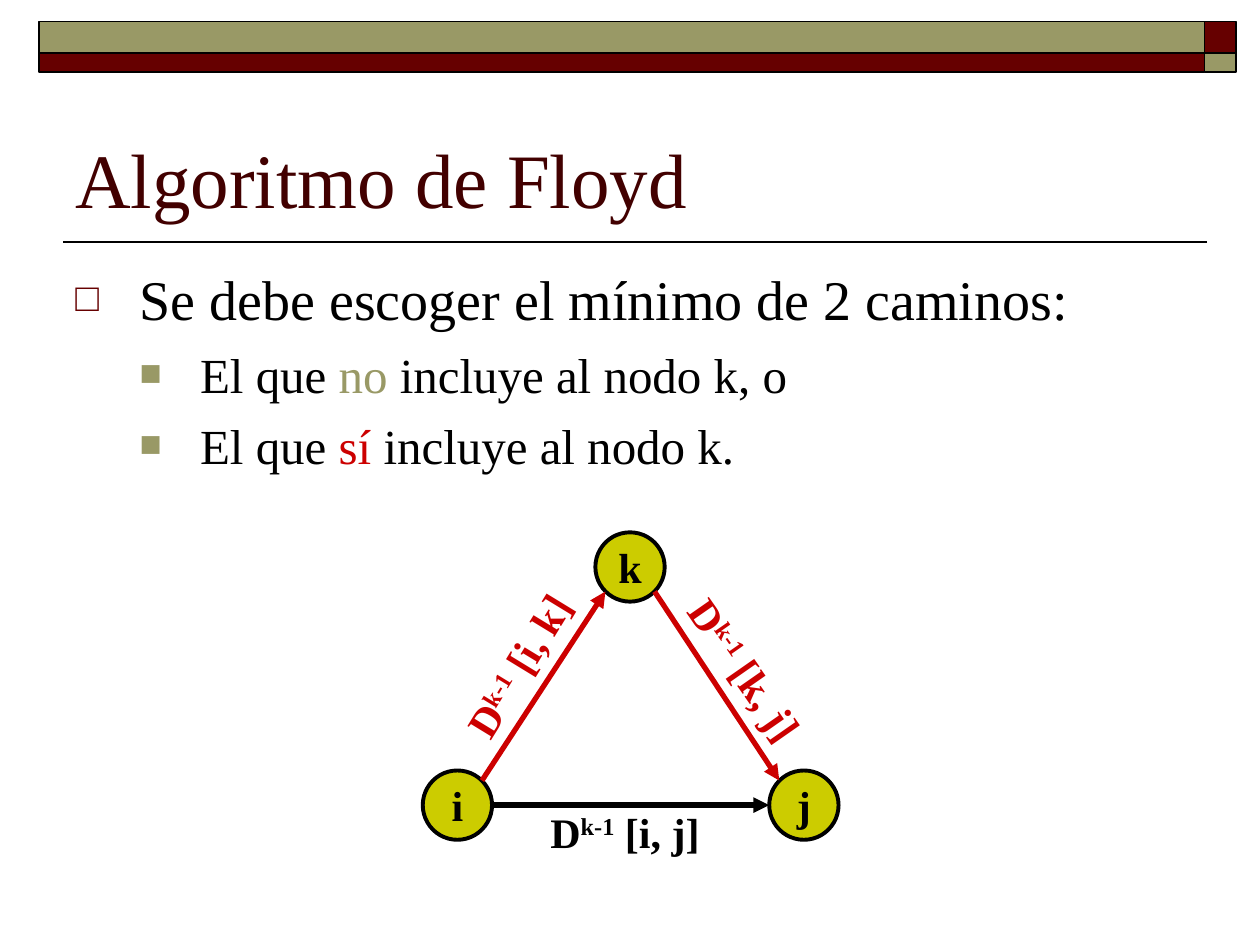
from lxml import etree
from pptx import Presentation
from pptx.dml.color import RGBColor
from pptx.enum.shapes import MSO_CONNECTOR, MSO_SHAPE
from pptx.enum.text import MSO_ANCHOR, PP_ALIGN
from pptx.oxml.ns import qn
from pptx.util import Inches, Pt

LINE = MSO_CONNECTOR.STRAIGHT
RECT, OVAL = MSO_SHAPE.RECTANGLE, MSO_SHAPE.OVAL
TOP, MID, LOW = MSO_ANCHOR.TOP, MSO_ANCHOR.MIDDLE, MSO_ANCHOR.BOTTOM
LEFT, MIDDLE = PP_ALIGN.LEFT, PP_ALIGN.CENTER
FONT = "Times New Roman"
BLACK, WINE, OLIVE, RED, LIME = "000000", "660000", "999966", "CC0000", "CCCC00"

TITLE = "Algoritmo de Floyd"
MAIN = dict(size=32, left=0.51, hang=0.51, mark="□", tint=WINE, scale=70)
SUB = dict(size=28, left=0.99, hang=0.48, mark="■", tint=OLIVE, scale=75, gap=7)
BODY = [
    ([("Se debe escoger el mínimo de 2 caminos:", BLACK)], MAIN),
    ([("El que ", BLACK), ("no", OLIVE), (" incluye al nodo k, o", BLACK)], SUB),
    ([("El que ", BLACK), ("sí", RED), (" incluye al nodo k.", BLACK)], SUB),
]
COLS = [(0.31, 9.25), (9.56, 0.25)]
ROWS = [(0.17, 0.25), (0.42, 0.15)]
BAND = [[OLIVE, WINE], [WINE, OLIVE]]
SIZE = 0.55
NODES = {"i": (3.63, 6.39), "j": (6.38, 6.39), "k": (5, 4.5)}
DIAG = 0.71
EDGES = [
    ("i", "j", (1, 0), (-1, 0), BLACK, (4.27, 6.35, 1.43, 0.5), 0),
    ("i", "k", (DIAG, -DIAG), (-DIAG, DIAG), RED, (3.37, 5.01, 1.5, 0.5), 301.4),
    ("k", "j", (DIAG, DIAG), (-DIAG, -DIAG), RED, (5.17, 5.08, 1.52, 0.5), 55.2),
]


def rgb(code):
    """Turn a hex string into a colour."""
    return RGBColor.from_string(code)


def bullet(para, left, hang, mark, tint, scale):
    """Give a paragraph a hanging bullet."""
    props = para._p.get_or_add_pPr()
    props.set("marL", str(Inches(left)))
    props.set("indent", str(-Inches(hang)))
    hue = etree.SubElement(props, qn("a:buClr"))
    etree.SubElement(hue, qn("a:srgbClr"), val=tint)
    etree.SubElement(props, qn("a:buSzPct"), val=str(scale * 1000))
    etree.SubElement(props, qn("a:buFont"), typeface=FONT)
    etree.SubElement(props, qn("a:buChar"), char=mark)


def write(para, text, size=24, color=BLACK, bold=False, raised=False):
    """Add one formatted run to a paragraph."""
    run = para.add_run()
    run.text = text
    font = run.font
    font.name, font.size, font.bold = FONT, Pt(size), bold
    font.color.rgb = rgb(color)
    if raised:
        run._r.get_or_add_rPr().set("baseline", "30000")


def box(slide, area, anchor=TOP, wrap=True):
    """Add a text box and return its shape."""
    shape = slide.shapes.add_textbox(*map(Inches, area))
    frame = shape.text_frame
    frame.word_wrap, frame.vertical_anchor = wrap, anchor
    return shape


def block(slide, kind, area, fill, width):
    """Add a filled, outlined preset shape."""
    shape = slide.shapes.add_shape(kind, *map(Inches, area))
    shape.shadow.inherit = False
    shape.fill.solid()
    shape.fill.fore_color.rgb = rgb(fill)
    shape.line.color.rgb = rgb(BLACK)
    shape.line.width = Pt(width)
    return shape


def stroke(slide, start, end, color, width, arrow=False):
    """Add a straight line, with an arrowhead if asked."""
    line = slide.shapes.add_connector(LINE, *map(Inches, (*start, *end)))
    line.line.color.rgb = rgb(color)
    line.line.width = Pt(width)
    if arrow:
        etree.SubElement(line.line._get_or_add_ln(), qn("a:tailEnd"), type="triangle")
    etree.SubElement(line._element.spPr, qn("a:effectLst"))


def frame(slide):
    """Draw the top band, the rule, the title and the list."""
    stroke(slide, (9.58, 1.92), (0.5, 1.92), BLACK, 1)
    for (top, high), fills in zip(ROWS, BAND):
        for (left, wide), fill in zip(COLS, fills):
            block(slide, RECT, (left, top, wide, high), fill, 1)
    title = box(slide, (0.5, 0.58, 9, 1.25), LOW)
    write(title.text_frame.paragraphs[0], TITLE, size=44, color="420000")
    text = box(slide, (0.5, 2, 9, 4.7)).text_frame
    text.margin_top = Inches(0.1)
    for n, (runs, form) in enumerate(BODY):
        para = text.add_paragraph() if n else text.paragraphs[0]
        para.level = 1 if form is SUB else 0
        if n:
            para.space_before = Pt(form["gap"])
        bullet(para, *(form[key] for key in ("left", "hang", "mark", "tint", "scale")))
        for part, color in runs:
            write(para, part, size=form["size"], color=color)


def graph(slide):
    """Draw the nodes, the arrows and their labels."""
    half = SIZE / 2
    for name, (x, y) in NODES.items():
        node = block(slide, OVAL, (x - half, y - half, SIZE, SIZE), LIME, 2.25)
        text = node.text_frame
        text.word_wrap, text.vertical_anchor = False, MID
        para = text.paragraphs[0]
        para.alignment = MIDDLE
        write(para, name, bold=True)
    for one, two, out, into, color, area, turn in EDGES:
        ends = [
            [mid + half * step for mid, step in zip(NODES[name], side)]
            for name, side in ((one, out), (two, into))
        ]
        stroke(slide, *ends, color, 3, arrow=True)
        label = box(slide, area, wrap=False)
        label.rotation = turn
        para = label.text_frame.paragraphs[0]
        para.alignment = LEFT
        for part in ("D", "k-1", f" [{one}, {two}]"):
            write(para, part, color=color, bold=True, raised=part == "k-1")


def main():
    """Build and save the slide."""
    deck = Presentation()
    deck.slide_width, deck.slide_height = Inches(10), Inches(7.5)
    slide = deck.slides.add_slide(deck.slide_layouts[6])
    frame(slide)
    graph(slide)
    deck.save("out.pptx")


if __name__ == "__main__":
    main()
